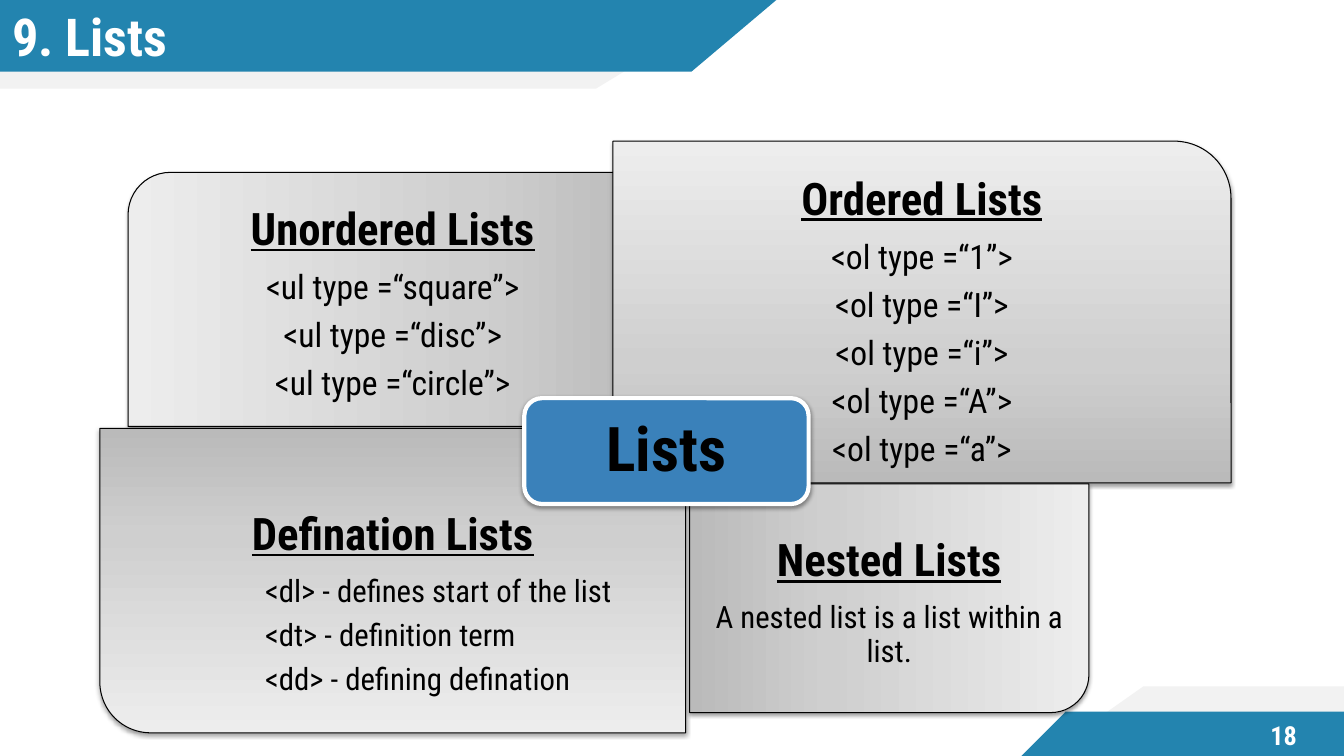
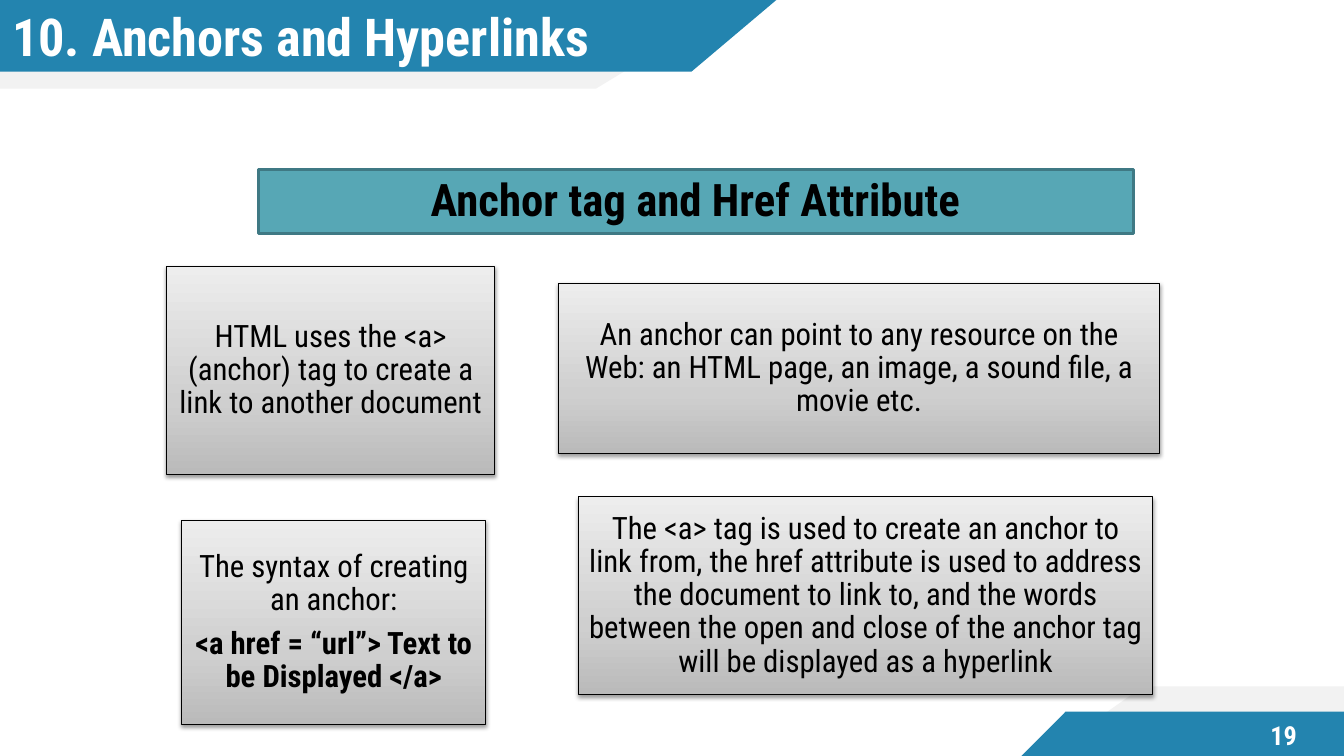
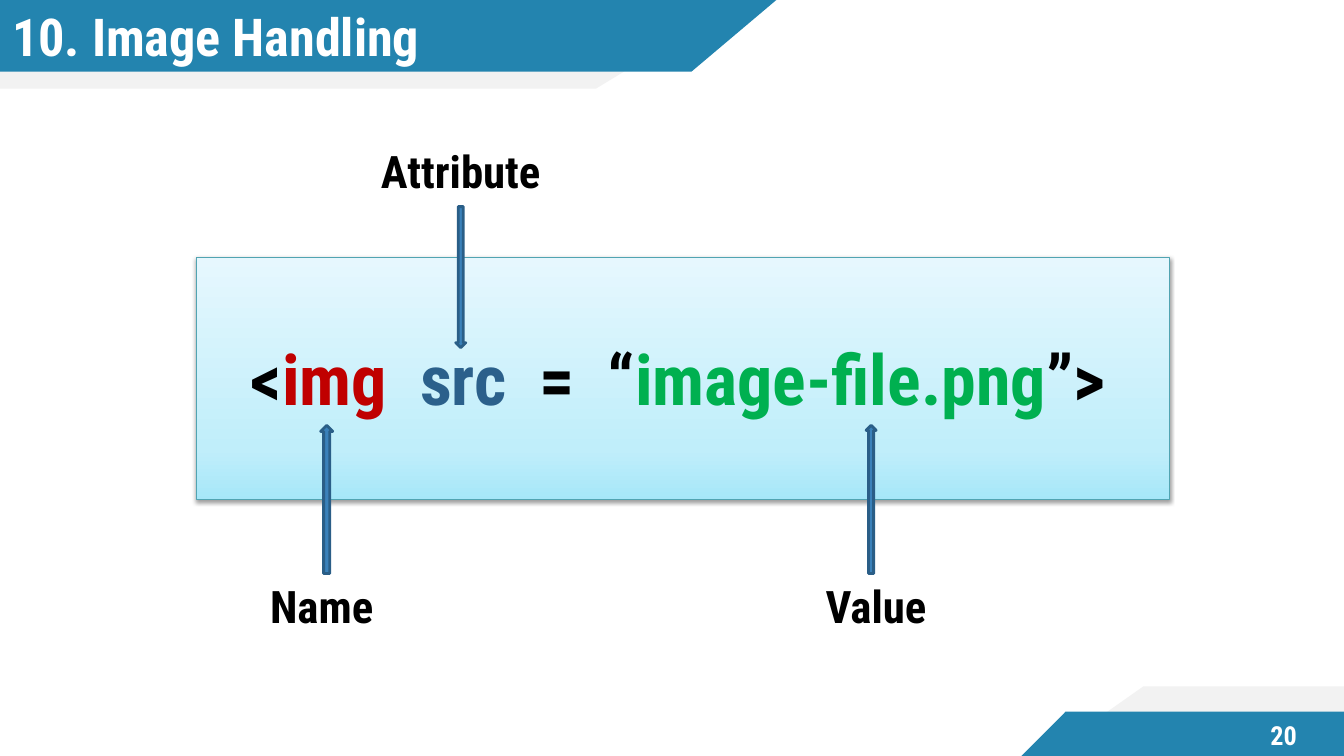
import copy

import lxml.etree
import pptx
import pptx.dml.color
import pptx.enum.shapes
import pptx.enum.text
import pptx.oxml.ns
import pptx.util

Inches = pptx.util.Inches
Pt = pptx.util.Pt
SHAPES = pptx.enum.shapes.MSO_SHAPE
ALIGN = pptx.enum.text.PP_ALIGN
ANCHOR = pptx.enum.text.MSO_ANCHOR
qn = pptx.oxml.ns.qn

FONT = "Roboto Condensed"
BLUE, PALE, BLACK, WHITE = "2384AF", "F2F2F2", "000000", "FFFFFF"
ARROW_FILL, ARROW_LINE = "3A81BA", "2A5E87"
SILVER = [(0, "BABABA"), (0.35, "CFCFCF"), (1, "EDEDED")]
SKY = [(0, "A6E7F9"), (0.21, "C0EEFA"), (1, "E6F7FE")]

SLIDE_WIDTH, SLIDE_HEIGHT = 13.33, 7.5
FIRST_NUMBER = 18
BANDS = [
    (PALE, [(0, 0), (7.36, 0), (5.91, 0.88), (0, 0.88)]),
    (BLUE, [(0, 0), (7.7, 0), (6.86, 0.71), (0, 0.71)]),
    (PALE, [(11.34, 6.81), (SLIDE_WIDTH, 6.81),
            (SLIDE_WIDTH, SLIDE_HEIGHT), (10.36, SLIDE_HEIGHT)]),
    (BLUE, [(10.57, 7.06), (SLIDE_WIDTH, 7.06),
            (SLIDE_WIDTH, SLIDE_HEIGHT), (10.13, SLIDE_HEIGHT)]),
]

PETALS = [
    {"box": (1.27, 1.71, 5.25, 2.52), "turn": 270, "text_top": 2.05,
     "heading": "Unordered Lists", "size": 24,
     "lines": ["<ul type =“square”>", "<ul type =“disc”>", "<ul type =“circle”>"]},
    {"box": (6.08, 1.4, 6.13, 3.39), "turn": 0, "text_top": 1.75,
     "heading": "Ordered Lists", "size": 24,
     "lines": ["<ol type =“1”>", "<ol type =“I”>", "<ol type =“i”>",
               "<ol type =“A”>", "<ol type =“a”>"]},
    {"box": (0.99, 4.25, 5.81, 3.02), "turn": 180, "text_top": 5.08,
     "heading": "Defination Lists", "size": 22, "indent": 1.39,
     "lines": ["<dl> - defines start of the list", "<dt> - definition term",
               "<dd> - defining defination"]},
    {"box": (6.84, 4.8, 3.96, 2.27), "turn": 90, "text_top": 5.34,
     "heading": "Nested Lists", "size": 22,
     "lines": ["A nested list is a list within a list."]},
]
HUB = ("Lists", (5.2, 3.95, 2.82, 1.05))

ANCHOR_HEADING = ("Anchor tag and Href Attribute", (2.56, 1.68, 8.68, 0.64))
ANCHOR_NOTES = [
    ((1.65, 2.64, 3.26, 2.07),
     ["HTML uses the <a> (anchor) tag to create a link to another document"]),
    ((1.8, 5.16, 3.02, 2.03),
     ["The syntax of creating an anchor:", "<a href = “url”> Text to be Displayed </a>"]),
    ((5.54, 2.81, 5.96, 1.69),
     ["An anchor can point to any resource on the Web: an HTML page, an image, "
      "a sound file, a movie etc."]),
    ((5.74, 4.93, 5.69, 1.96),
     ["The <a> tag is used to create an anchor to link from, the href attribute is "
      "used to address the document to link to, and the words between the open and "
      "close of the anchor tag will be displayed as a hyperlink"]),
]

TAG_PANEL = (1.95, 2.55, 9.65, 2.41)
TAG_BOX = (2.39, 3.28, 8.77, 0.94)
TAG_GAP = " "
TAG_PARTS = [
    ("<", BLACK), ("img", "C00000"), (TAG_GAP, BLACK), ("src", "2B608B"),
    (TAG_GAP, BLACK), ("=", BLACK), (TAG_GAP, BLACK), ("“", BLACK),
    ("image-file.png", "00B050"), ("”>", BLACK),
]
TAG_LABELS = [
    ("Attribute", (3.68, 1.38), SHAPES.DOWN_ARROW, (4.52, 2.05, 0.1, 1.4)),
    ("Name", (2.58, 5.69), SHAPES.UP_ARROW, (3.18, 4.22, 0.12, 1.47)),
    ("Value", (8.09, 5.69), SHAPES.UP_ARROW, (8.59, 4.22, 0.1, 1.47)),
]


def rgb(value):
    return pptx.dml.color.RGBColor.from_string(value)


def lengths(box):
    return [Inches(side) for side in box]


def paint(shape, fill, line=None, width=0.75, shadow=False):
    shape.shadow.inherit = False
    if isinstance(fill, str):
        shape.fill.solid()
        shape.fill.fore_color.rgb = rgb(fill)
    else:
        shape.fill.gradient()
        shape.fill.gradient_angle = 90
        stops = shape._element.spPr.find(".//" + qn("a:gsLst"))
        stops.insert(1, copy.deepcopy(stops[0]))
        for stop, (position, colour) in zip(shape.fill.gradient_stops, fill):
            stop.position = position
            stop.color.rgb = rgb(colour)
    if line:
        shape.line.color.rgb = rgb(line)
        shape.line.width = Pt(width)
    else:
        shape.line.fill.background()
    if shadow:
        effects = shape._element.spPr.find(qn("a:effectLst"))
        outer = lxml.etree.SubElement(
            effects, qn("a:outerShdw"), blurRad=str(Pt(3.1)), dist=str(Pt(1.6)),
            dir="5400000", rotWithShape="0")
        colour = lxml.etree.SubElement(outer, qn("a:srgbClr"), val=BLACK)
        lxml.etree.SubElement(colour, qn("a:alpha"), val="38000")


def add_box(slide, preset, box, fill, line, width=0.75, shadow=True):
    shape = slide.shapes.add_shape(preset, *lengths(box))
    paint(shape, fill, line, width, shadow)
    return shape


def add_text(slide, box):
    return slide.shapes.add_textbox(*lengths(box))


def set_frame(shape, insets, anchor=ANCHOR.MIDDLE):
    frame = shape.text_frame
    frame.word_wrap = True
    frame.vertical_anchor = anchor
    (frame.margin_left, frame.margin_top,
     frame.margin_right, frame.margin_bottom) = lengths(insets)
    return frame


def style(paragraph, size, bold=False, colour=BLACK, align=ALIGN.CENTER,
          spacing=0.9, before=0, underline=False):
    font = paragraph.font
    font.name = FONT
    font.size = Pt(size)
    font.bold = bold
    font.underline = underline
    font.color.rgb = rgb(colour)
    paragraph.alignment = align
    paragraph.line_spacing = spacing
    paragraph.space_before = Pt(before)


def write(shape, text, size, insets, anchor=ANCHOR.MIDDLE, **options):
    paragraph = set_frame(shape, insets, anchor).paragraphs[0]
    paragraph.text = text
    style(paragraph, size, **options)


def start_slide(deck, title, number):
    slide = deck.slides.add_slide(deck.slide_layouts[6])
    for colour, corners in BANDS:
        points = [lengths(corner) for corner in corners]
        builder = slide.shapes.build_freeform(*points[0])
        builder.add_line_segments(points[1:])
        paint(builder.convert_to_shape(), colour)
    write(add_text(slide, (0, 0.04, 7.36, 0.63)), title, 37.3, (0.12, 0, 0, 0),
          bold=True, colour=WHITE, align=ALIGN.LEFT, spacing=1)
    write(add_text(slide, (12.29, 7.07, 0.88, 0.45)), str(number), 18.7, [0.1] * 4,
          bold=True, colour=WHITE, spacing=1)
    return slide


def add_petal(slide, petal):
    left, top, width, height = petal["box"]
    across, down = (height, width) if petal["turn"] % 180 else (width, height)
    turned = (left + (width - across) / 2, top + (height - down) / 2, across, down)
    add_box(slide, SHAPES.ROUND_1_RECTANGLE, turned, SILVER, BLACK).rotation = petal["turn"]

    text_top = petal["text_top"]
    words = add_text(slide, (left, text_top, width, top + height - text_top))
    write(words, petal["heading"], 32, (0.25, 0, 0.25, 0), ANCHOR.TOP,
          bold=True, underline=True)
    size = petal["size"]
    for index, line in enumerate(petal["lines"]):
        paragraph = words.text_frame.add_paragraph()
        paragraph.text = line
        style(paragraph, size, before=0.35 * size if index else 11.2)
        if "indent" in petal:
            paragraph.alignment = ALIGN.LEFT
            paragraph._p.get_or_add_pPr().set("marL", str(Inches(petal["indent"])))


def fill_lists(slide):
    for petal in PETALS:
        add_petal(slide, petal)
    text, box = HUB
    hub = add_box(slide, SHAPES.ROUNDED_RECTANGLE, box, ARROW_FILL, WHITE, 3)
    write(hub, text, 44, [0.18] * 4, bold=True)


def fill_anchors(slide):
    text, box = ANCHOR_HEADING
    heading = add_box(slide, SHAPES.RECTANGLE, box, "57A7B5", "3F7984", 2, shadow=False)
    write(heading, text, 32, [0.13] * 4, bold=True)
    for box, lines in ANCHOR_NOTES:
        note = add_box(slide, SHAPES.RECTANGLE, box, SILVER, BLACK)
        write(note, lines[0], 22, [0.09] * 4)
        for syntax in lines[1:]:
            paragraph = note.text_frame.add_paragraph()
            paragraph.text = syntax
            style(paragraph, 22, bold=True, before=7.7)


def fill_images(slide):
    insets = (0.1, 0.05, 0.1, 0.05)
    add_box(slide, SHAPES.RECTANGLE, TAG_PANEL, SKY, "51A4B2")
    tag = set_frame(add_text(slide, TAG_BOX), insets, ANCHOR.TOP).paragraphs[0]
    style(tag, 50, bold=True, align=ALIGN.LEFT, spacing=1)
    for text, colour in TAG_PARTS:
        part = tag.add_run()
        part.text = text
        part.font.color.rgb = rgb(colour)
        if text == TAG_GAP:
            part._r.get_or_add_rPr().set("spc", "1200")
    for text, corner, arrow, arrow_box in TAG_LABELS:
        add_box(slide, arrow, arrow_box, ARROW_FILL, ARROW_LINE, 2, shadow=False)
        write(add_text(slide, (*corner, 2.24, 0.64)), text, 32, insets, ANCHOR.TOP,
              bold=True, align=ALIGN.LEFT, spacing=1)


SLIDES = [
    ("9. Lists", fill_lists),
    ("10. Anchors and Hyperlinks", fill_anchors),
    ("10. Image Handling", fill_images),
]


def main():
    deck = pptx.Presentation()
    deck.slide_width, deck.slide_height = lengths((SLIDE_WIDTH, SLIDE_HEIGHT))
    for number, (title, fill_content) in enumerate(SLIDES, FIRST_NUMBER):
        fill_content(start_slide(deck, title, number))
    deck.save("out.pptx")


if __name__ == "__main__":
    main()
